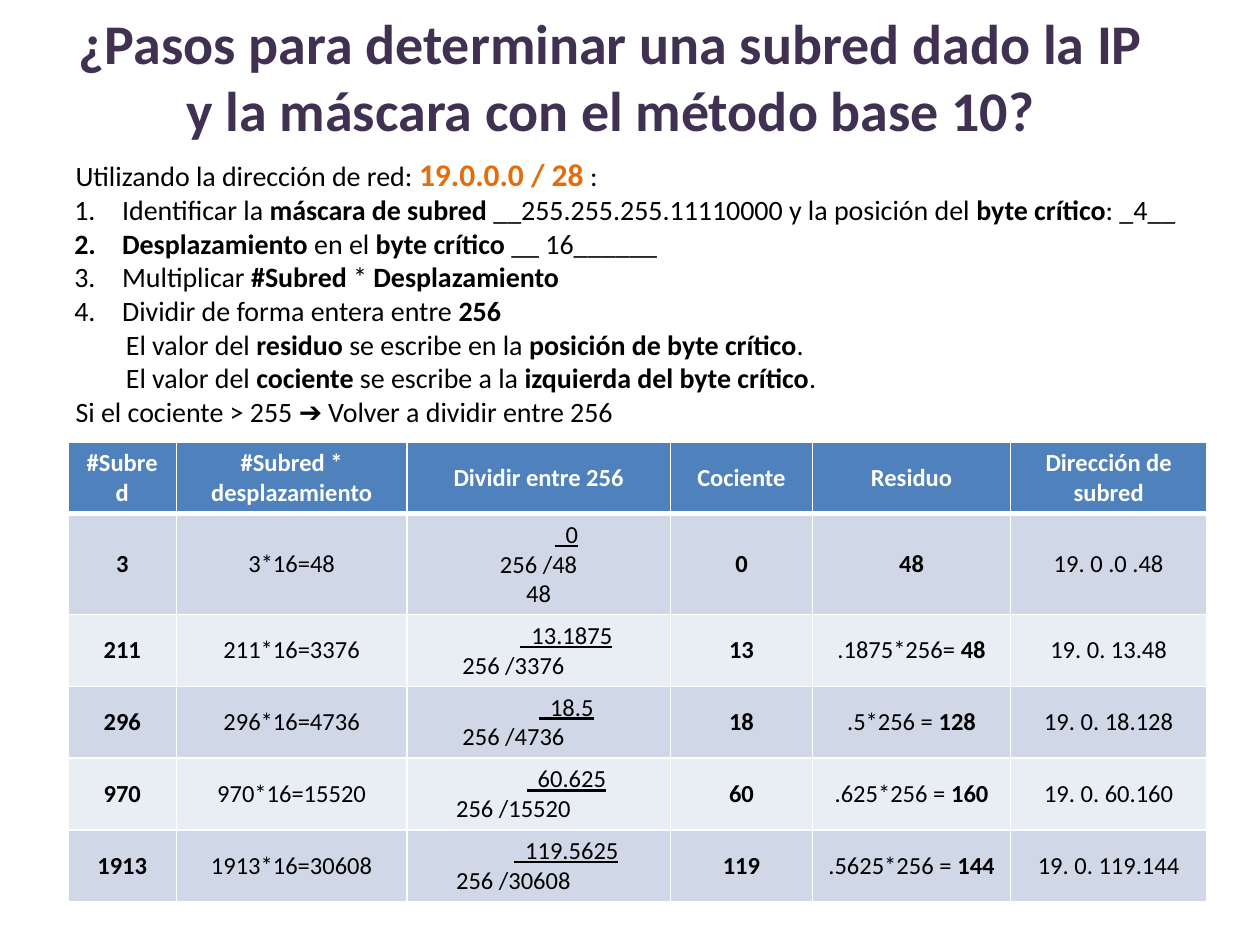
"""Slide on finding a subnet from its IP and mask with the base 10 method."""
from lxml.etree import SubElement
from pptx import Presentation
from pptx.dml.color import RGBColor as RGB
from pptx.enum.text import MSO_ANCHOR as ANC, MSO_AUTO_SIZE as FIT, PP_ALIGN as AL
from pptx.oxml.ns import qn
from pptx.util import Inches, Pt

C = {"title": "403152", "text": "000000", "net": "E46C0A", "head": "4F81BD",
     "odd": "D0D8E8", "even": "E9EDF4", "white": "FFFFFF"}


def put(obj, fmt):
    for name, value in fmt.items():
        setattr(obj, name, value)


def write(p, text, size, color="text", bold=False, underline=None):
    for i, part in enumerate(text.split("|")):
        if part:
            r = p.add_run()
            r.text = part
            put(r.font, {"name": "Calibri", "size": Pt(size), "underline": underline,
                         "bold": bold != (i % 2 == 1)})
            r.font.color.rgb = RGB.from_string(C[color])


prs = Presentation()
put(prs, {"slide_width": Inches(10), "slide_height": Inches(7.5)})
W, H = prs.slide_width, prs.slide_height
s = prs.slides.add_slide(prs.slide_layouts[5])

title = s.shapes.title
put(title, {"left": int(W * 0.04), "top": 0, "width": int(W * 0.89), "height": int(H * 0.16)})
tf = title.text_frame
put(tf, {"vertical_anchor": ANC.MIDDLE, "word_wrap": True, "auto_size": FIT.NONE})
p = tf.paragraphs[0]
p.alignment = AL.CENTER
write(p, "¿Pasos para determinar una subred dado la IP y la máscara con el método base 10?",
      32, "title", True)

PLAIN, STEP, SUB = (0.09, 0), (0.46, -0.38), (0.49, 0)
steps = [
    (PLAIN, "Utilizando la dirección de red: "),
    (STEP, "Identificar la |máscara de subred| __255.255.255.11110000 y la posición del "
           "|byte crítico|: _4__"),
    (STEP, "|Desplazamiento |en el |byte crítico |__ 16______"),
    (STEP, "Multiplicar |#Subred| * |Desplazamiento|"),
    (STEP, "Dividir de forma entera entre |256|"),
    (SUB, "El valor del |residuo| se escribe en la |posición de byte crítico|."),
    (SUB, "El valor del |cociente| se escribe a la |izquierda del byte crítico|."),
    (PLAIN, "Si el cociente > 255 ➔ Volver a dividir entre 256"),
]
box = s.shapes.add_textbox(Inches(0.51), Inches(1.23), Inches(9.1), Inches(2.19))
tf = box.text_frame
put(tf, {"word_wrap": True, "margin_left": 0, "margin_top": 0,
         "margin_right": 0, "margin_bottom": 0})
for i, (indent, text) in enumerate(steps):
    p = tf.add_paragraph() if i else tf.paragraphs[0]
    p.alignment = AL.JUSTIFY
    pPr = p._p.get_or_add_pPr()
    for key, inches in zip(("marL", "indent"), indent):
        pPr.set(key, str(Inches(inches)))
    if indent == STEP:
        SubElement(pPr, qn("a:buFont"), typeface="+mj-lt")
        SubElement(pPr, qn("a:buAutoNum"), type="arabicPeriod")
    write(p, text, 16)
    if i == 0:
        write(p, "19.0.0.0 / 28", 18, "net", True)
        write(p, " :", 16)

heads = ["#Subred", "#Subred * desplazamiento", "Dividir entre 256", "Cociente", "Residuo",
         "Dirección de subred"]
rows = [
    ("3", "3*16=48", "0", "0", "|48|", "19. 0 .0 .48"),
    ("211", "211*16=3376", "13.1875", "13", ".1875*256= |48|", "19. 0. 13.48"),
    ("296", "296*16=4736", "18.5", "18", ".5*256 = |128|", "19. 0. 18.128"),
    ("970", "970*16=15520", "60.625", "60", ".625*256 = |160|", "19. 0. 60.160"),
    ("1913", "1913*16=30608", "119.5625", "119", ".5625*256 = |144|", "19. 0. 119.144"),
]
widths = [0.86, 1.83, 2.09, 1.13, 1.57, 1.56]
heights = [0.56, 0.8] + [0.57] * 4
DIVISION, BOLD_COLS = 2, (0, 3)
tbl = s.shapes.add_table(len(heights), len(widths), Inches(0.54), Inches(3.51),
                         Inches(sum(widths)), Inches(sum(heights))).table
for col, width in zip(tbl.columns, widths):
    col.width = Inches(width)
for row, height in zip(tbl.rows, heights):
    row.height = Inches(height)

for i, values in enumerate([heads] + rows):
    for j, value in enumerate(values):
        cell = tbl.cell(i, j)
        cell.vertical_anchor = ANC.MIDDLE
        tcPr = cell._tc.get_or_add_tcPr()
        for side in "LRTB":
            thick = (i, side) in ((0, "B"), (1, "T"))
            ln = SubElement(tcPr, qn("a:ln" + side), w=str(Pt(3 if thick else 1)))
            SubElement(SubElement(ln, qn("a:solidFill")), qn("a:srgbClr"), val=C["white"])
        cell.fill.solid()
        shade = "head" if i == 0 else "odd" if i % 2 else "even"
        cell.fill.fore_color.rgb = RGB.from_string(C[shade])
        tf = cell.text_frame
        p = tf.paragraphs[0]
        p.alignment = AL.CENTER
        if i == 0:
            write(p, value, 14, "white", True)
        elif j != DIVISION:
            write(p, value, 14, bold=j in BOLD_COLS)
        else:
            p._p.get_or_add_pPr().set("marL", str(Inches(0.44)))
            write(p, "  " + value, 14, underline=True)
            division = "256 /" + values[1].split("=")[1]
            for line in [division, "48"] if i == 1 else [division]:
                p = tf.add_paragraph()
                p.alignment = AL.CENTER if i == 1 else AL.LEFT
                if i > 1:
                    p._p.get_or_add_pPr().set("marL", str(Inches(0.79 - 0.05 * len(line))))
                write(p, line, 14)

prs.save("out.pptx")
